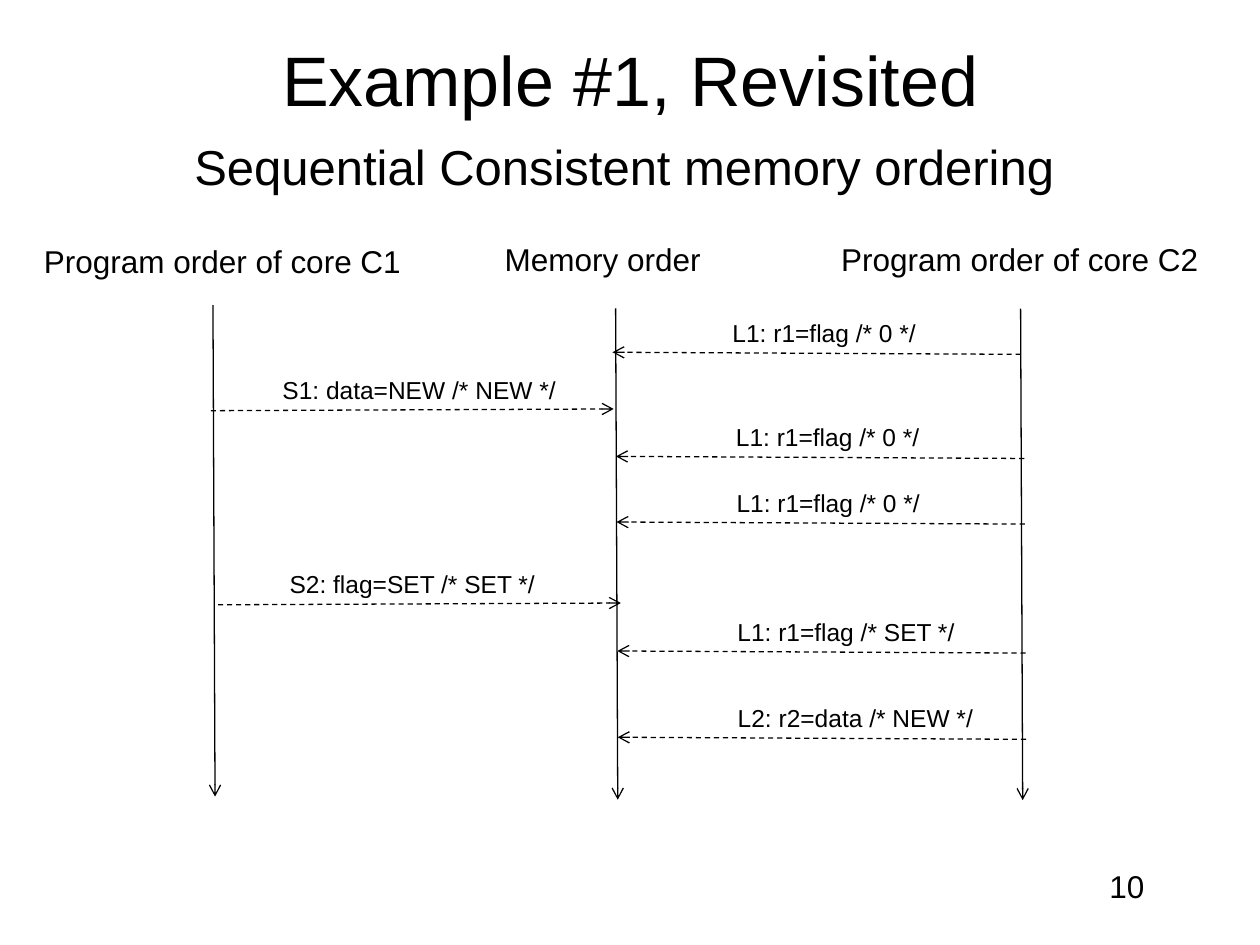
from pptx import Presentation
from pptx.dml.color import RGBColor
from pptx.enum.dml import MSO_LINE
from pptx.enum.shapes import MSO_CONNECTOR
from pptx.enum.text import MSO_ANCHOR, PP_ALIGN
from pptx.oxml.ns import qn
from pptx.util import Pt
from lxml import etree

BLACK = RGBColor(0, 0, 0)
FONT = "Arial"

# Lifelines: heading, heading left, heading top, heading width, line x, line top
LIFELINES = [
    ("Program order of core C1", 18, 134.7, 220.3, 121.7, 174.4),
    ("Memory order", 281.3, 133.7, 127.5, 351.8, 176.2),
    ("Program order of core C2", 473.6, 133.7, 220.3, 583.2, 176.4),
]
# Memory operations: left end, height of the tail, label
LOADS = [
    (350, 202.5, "L1: r1=flag /* 0 */"),
    (352, 262, "L1: r1=flag /* 0 */"),
    (352.3, 299.5, "L1: r1=flag /* 0 */"),
    (352.8, 373.2, "L1: r1=flag /* SET */"),
    (353, 422.5, "L2: r2=data /* NEW */"),
]
STORES = [
    (120.5, 234.7, "S1: data=NEW /* NEW */"),
    (124.6, 345.6, "S2: flag=SET /* SET */"),
]


def add_text(slide, text, left, top, width, height, size,
             align=PP_ALIGN.LEFT, anchor=MSO_ANCHOR.TOP, wrap=True):
    box = slide.shapes.add_textbox(Pt(left), Pt(top), Pt(width), Pt(height))
    frame = box.text_frame
    frame.word_wrap = wrap
    frame.vertical_anchor = anchor
    frame.text = text
    paragraph = frame.paragraphs[0]
    paragraph.alignment = align
    font = paragraph.runs[0].font
    font.name, font.size = FONT, Pt(size)
    font.color.rgb = BLACK


def add_arrow(slide, x1, y1, x2, y2, dashed=False):
    arrow = slide.shapes.add_connector(
        MSO_CONNECTOR.STRAIGHT, Pt(x1), Pt(y1), Pt(x2), Pt(y2))
    arrow.line.color.rgb = BLACK
    arrow.line.width = Pt(0.75)
    if dashed:
        arrow.line.dash_style = MSO_LINE.DASH
    properties = arrow.line._get_or_add_ln()
    etree.SubElement(properties, qn("a:tailEnd"), type="arrow")
    etree.SubElement(properties.getparent(), qn("a:effectLst"))


def add_header(slide, left, top, width):
    add_text(slide, "Example #1, Revisited", left, top, width, 90, 40,
             PP_ALIGN.CENTER, MSO_ANCHOR.MIDDLE)
    add_text(slide, "Sequential Consistent memory ordering",
             left + 50, top + 74.2, 528, 51, 28)


def add_lifeline(slide, heading, heading_left, heading_top, width, x, top):
    add_text(slide, heading, heading_left, heading_top, width, 29, 18,
             wrap=False)
    add_arrow(slide, x, top, x + 1.2, top + 280.8)


def add_load(slide, left, y, label):
    """Dashed arrow from core C2 back to the memory order."""
    add_arrow(slide, left + 233.3, y, left, y - 1.2, dashed=True)
    add_text(slide, label, left + 61.5, y - 24.4, 150, 24.2, 14, wrap=False)


def add_store(slide, left, y, label):
    """Dashed arrow from core C1 to the memory order."""
    add_arrow(slide, left, y, left + 230.2, y - 1, dashed=True)
    add_text(slide, label, left + 33.8, y - 24.2, 176.4, 24.2, 14)


def main():
    deck = Presentation()
    deck.slide_width, deck.slide_height = Pt(720), Pt(540)
    slide = deck.slides.add_slide(deck.slide_layouts[6])

    add_header(slide, 54, 0, 612)

    # Sequence diagram
    for lifeline in LIFELINES:
        add_lifeline(slide, *lifeline)
    for load in LOADS:
        add_load(slide, *load)
    for store in STORES:
        add_store(slide, *store)

    # Page number
    add_text(slide, "10 ", 516, 492, 150, 36, 18, PP_ALIGN.RIGHT)

    deck.save("out.pptx")


if __name__ == "__main__":
    main()
